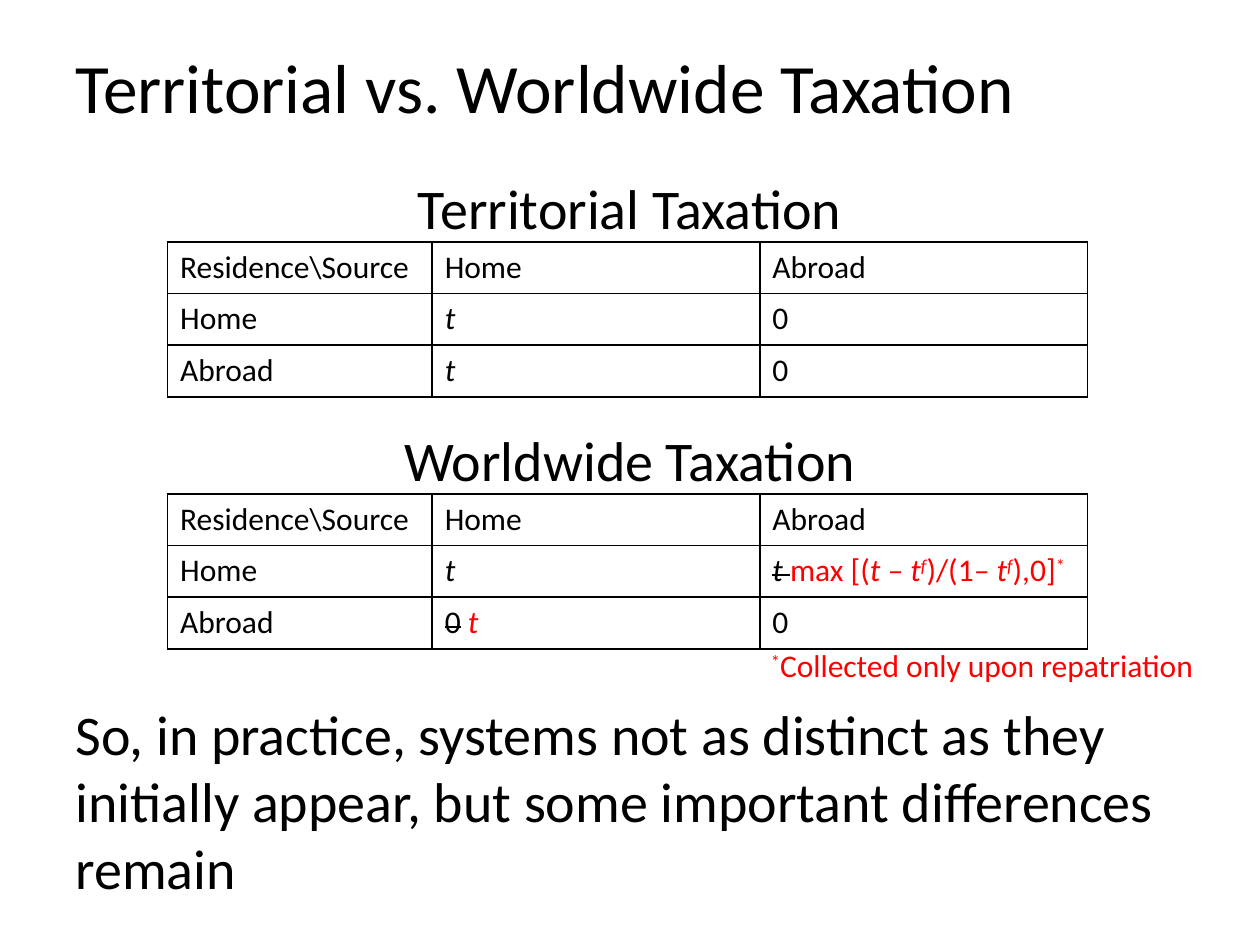
from lxml.etree import SubElement
from pptx import Presentation
from pptx.dml.color import RGBColor
from pptx.enum.text import MSO_ANCHOR as ANCHOR, MSO_AUTO_SIZE as AUTO, PP_ALIGN as ALIGN
from pptx.oxml import parse_xml
from pptx.oxml.ns import nsdecls, qn
from pptx.util import Inches, Pt

BLACK = RGBColor(0, 0, 0)
RED = RGBColor(0xFF, 0, 0)
FONT = "Calibri"

LEFT, WIDTH = 0.5, 9
TABLE_LEFT, COLUMNS, ROW_HEIGHT = 1.33, (2.1, 2.6, 2.6), 0.41
CAPTION_HEIGHT = 0.58

# A cell is a list of (text, format) runs, or a plain string
ITALIC = {"italic": True}
RED_TEXT = {"color": RED}
RED_ITALIC = {"color": RED, "italic": True}
RED_SUPER = {"color": RED, "superscript": True}
RED_POWER = {**RED_ITALIC, "superscript": True}
STRUCK = {"italic": True, "strike": True}

T = [("t", ITALIC)]
HEADER = ["Residence\\Source", "Home", "Abroad"]
TERRITORIAL = [HEADER, ["Home", T, "0"], ["Abroad", T, "0"]]
REPATRIATION_TAX = [
    ("t ", STRUCK), ("max [(", RED_TEXT), ("t – t", RED_ITALIC), ("f", RED_POWER),
    (")/(1", RED_TEXT), ("– t", RED_ITALIC), ("f", RED_POWER), ("),0]", RED_TEXT),
    ("*", RED_SUPER),
]
WORLDWIDE = [
    HEADER,
    ["Home", T, REPATRIATION_TAX],
    ["Abroad", [("0", {"strike": True}), (" ", {}), ("t", RED_ITALIC)], "0"],
]


def add_run(p, text, size=18, color=BLACK, italic=False, strike=False, superscript=False):
    r = p.add_run()
    r.text = text
    font = r.font
    font.name, font.size, font.italic = FONT, Pt(size), italic
    font.color.rgb = color
    properties = r._r.get_or_add_rPr()
    if strike:
        properties.set("strike", "sngStrike")
    if superscript:
        properties.set("baseline", "30000")


def write(tf, content, align=ALIGN.LEFT, **fmt):
    p = tf.paragraphs[0]
    p.alignment = align
    runs = [(content, {})] if isinstance(content, str) else content
    for text, run_fmt in runs:
        add_run(p, text, **{**fmt, **run_fmt})


def place_text(sp, left, top, width, height, content, **fmt):
    sp.left, sp.top, sp.width, sp.height = map(Inches, (left, top, width, height))
    tf = sp.text_frame
    tf.word_wrap, tf.auto_size, tf.vertical_anchor = True, AUTO.NONE, ANCHOR.TOP
    write(tf, content, **fmt)


def add_text(s, *box_and_content, **fmt):
    place_text(s.shapes.add_textbox(0, 0, 0, 0), *box_and_content, **fmt)


def set_borders(cell):
    properties = cell._tc.get_or_add_tcPr()
    for i, side in enumerate(("lnL", "lnR", "lnT", "lnB")):
        line = parse_xml(f'<a:{side} {nsdecls("a")} w="{Pt(1)}"/>')
        fill = SubElement(line, qn("a:solidFill"))
        SubElement(fill, qn("a:srgbClr"), val=str(BLACK))
        properties.insert(i, line)


def add_tax_table(s, top, rows):
    table = s.shapes.add_table(
        len(rows), len(COLUMNS), Inches(TABLE_LEFT), Inches(top),
        Inches(sum(COLUMNS)), Inches(ROW_HEIGHT * len(rows))).table
    table.first_row = table.horz_banding = False
    for column, width in zip(table.columns, COLUMNS):
        column.width = Inches(width)
    for y, row in enumerate(rows):
        table.rows[y].height = Inches(ROW_HEIGHT)
        for x, content in enumerate(row):
            cell = table.cell(y, x)
            cell.fill.background()
            set_borders(cell)
            write(cell.text_frame, content)


def add_system(s, top, caption, rows):
    add_text(s, LEFT, top, WIDTH, CAPTION_HEIGHT, caption, size=32, align=ALIGN.CENTER)
    add_tax_table(s, top + CAPTION_HEIGHT + 0.01, rows)


def main():
    prs = Presentation()
    prs.slide_width, prs.slide_height = Inches(10), Inches(7.5)
    s = prs.slides.add_slide(prs.slide_layouts[5])

    # Title
    place_text(s.shapes.title, LEFT, 0.3, 7.83, 1.25,
               "Territorial vs. Worldwide Taxation", size=39.6)

    # The two tax systems
    add_system(s, 1.33, "Territorial Taxation", TERRITORIAL)
    add_system(s, 3.33, "Worldwide Taxation", WORLDWIDE)

    # Footnote and conclusion
    add_text(s, 5.92, 5.08, 3.75, 0.42,
             [("*", RED_SUPER), ("Collected only upon repatriation", RED_TEXT)],
             align=ALIGN.CENTER)
    add_text(s, LEFT, 5.5, WIDTH, 1.75,
             "So, in practice, systems not as distinct as they initially appear, "
             "but some important differences remain", size=32)

    prs.save("out.pptx")


if __name__ == "__main__":
    main()
